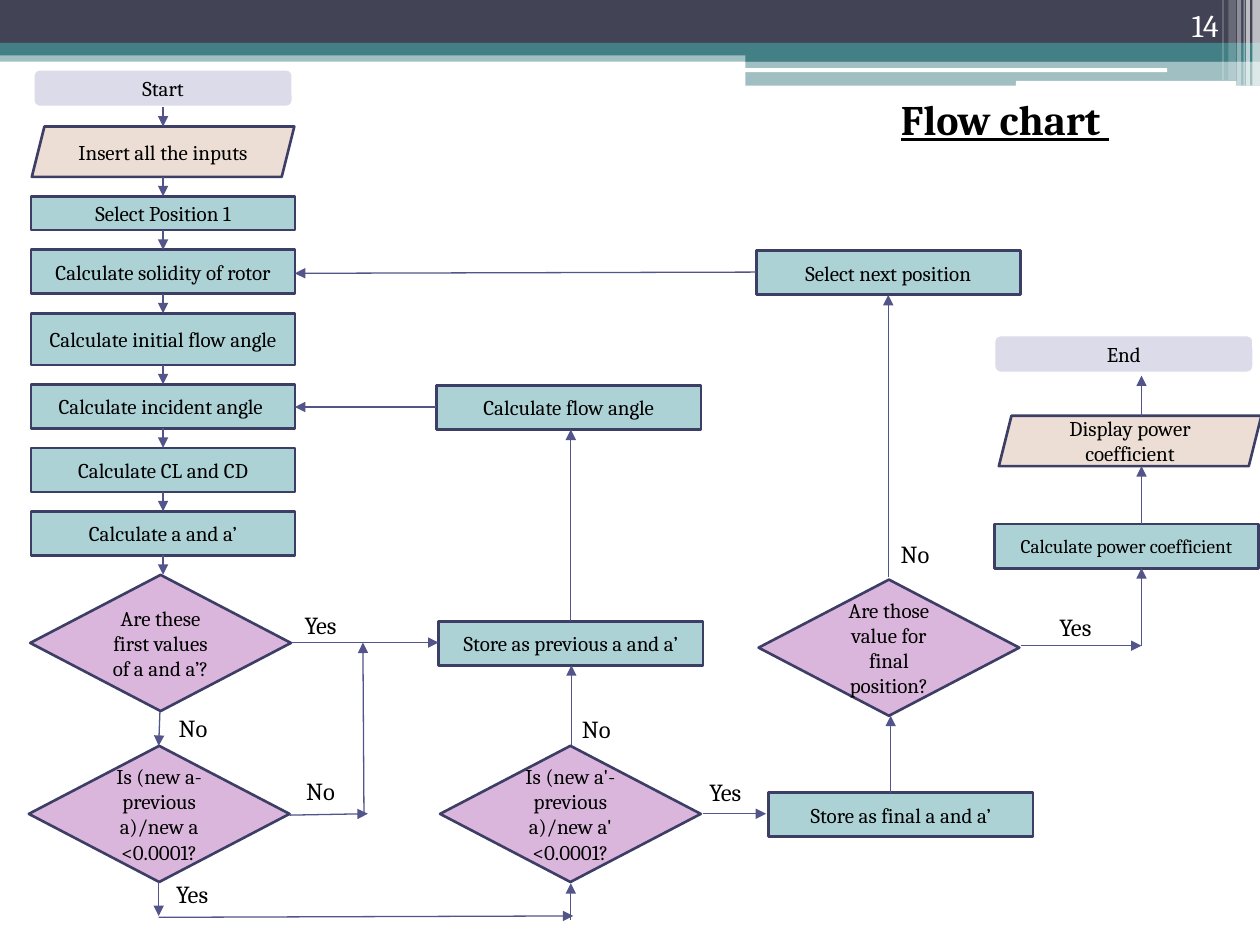
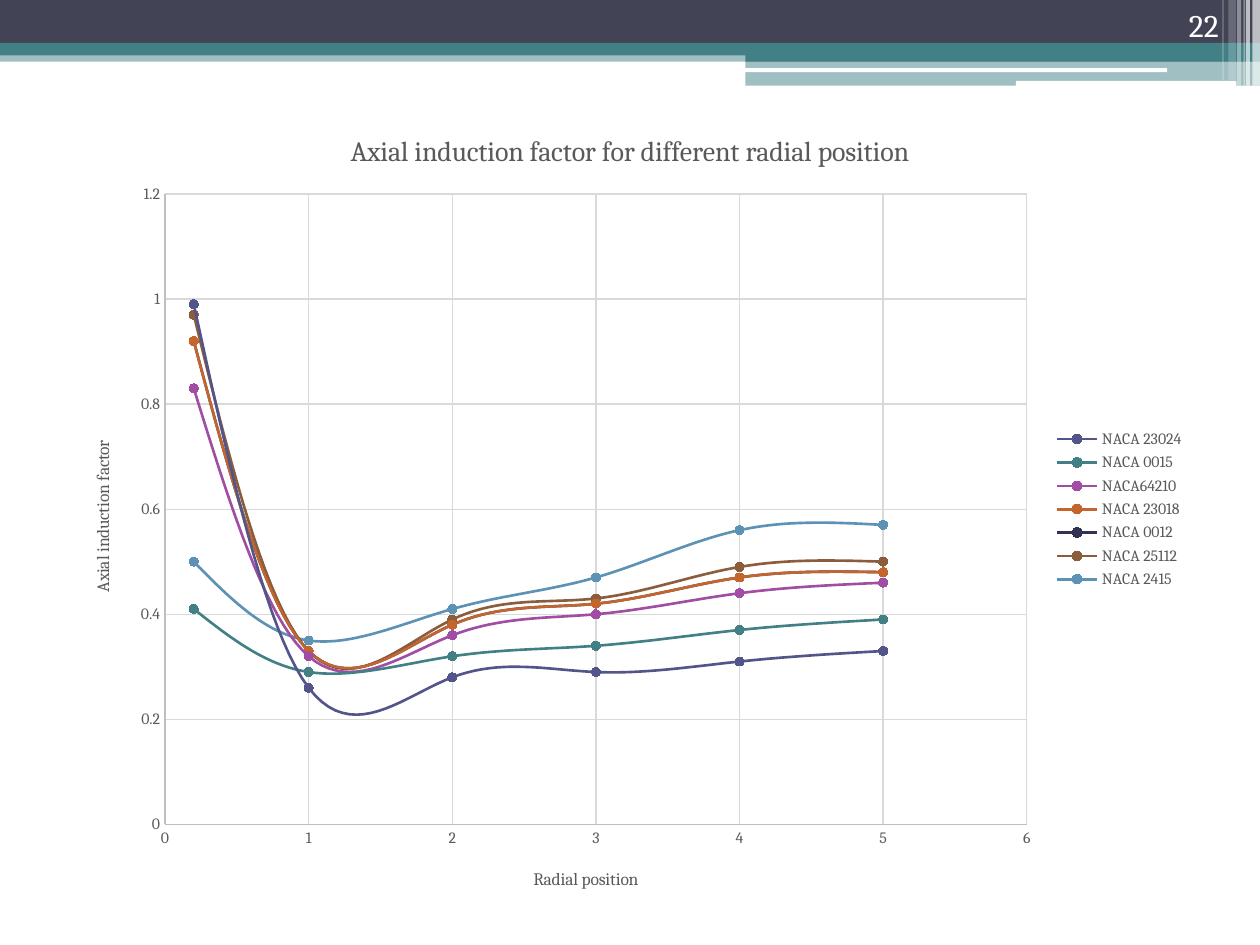
from dataclasses import dataclass
from itertools import pairwise
from typing import NamedTuple

from lxml import etree
from pptx import Presentation
from pptx.chart.axis import ValueAxis
from pptx.chart.chart import Chart
from pptx.chart.data import XyChartData
from pptx.dml.color import RGBColor
from pptx.enum.chart import XL_CHART_TYPE, XL_LEGEND_POSITION, XL_MARKER_STYLE, XL_TICK_MARK
from pptx.enum.shapes import MSO_CONNECTOR, MSO_SHAPE
from pptx.enum.text import MSO_ANCHOR, MSO_AUTO_SIZE, PP_ALIGN
from pptx.oxml.ns import qn
from pptx.shapes.autoshape import Shape
from pptx.slide import Slide
from pptx.text.text import Font, TextFrame
from pptx.util import Pt

RECTANGLE = MSO_SHAPE.RECTANGLE
ROUNDED = MSO_SHAPE.ROUNDED_RECTANGLE
LEFT, CENTER, RIGHT = PP_ALIGN.LEFT, PP_ALIGN.CENTER, PP_ALIGN.RIGHT
TOP, MIDDLE, BOTTOM = MSO_ANCHOR.TOP, MSO_ANCHOR.MIDDLE, MSO_ANCHOR.BOTTOM
TITLE_ONLY, BLANK = 5, 6

FONT = "Cambria"
BLACK, WHITE, GRAY = "000000", "FFFFFF", "595959"
NAVY, TEAL, INDIGO, OUTLINE = "424456", "438086", "53548A", "3D3E66"
AXIS_LINE, GRID_LINE = "BFBFBF", "D9D9D9"


class Band(NamedTuple):
    left: float
    top: float
    width: float
    height: float
    color: str
    opacity: int = 100
    shape_type: MSO_SHAPE = RECTANGLE


@dataclass(frozen=True)
class Kind:
    shape_type: MSO_SHAPE
    fill: str
    width: float
    height: float
    line: str = OUTLINE


@dataclass(frozen=True)
class Node:
    kind: Kind
    text: str
    center: float
    top: float
    height: float
    size: float = 12

    @property
    def bottom(self) -> float:
        return self.top + self.height


class Arrow(NamedTuple):
    start_x: float
    start_y: float
    end_x: float
    end_y: float


class Label(NamedTuple):
    text: str
    left: float
    top: float


class Airfoil(NamedTuple):
    name: str
    color: str
    factors: tuple[float, ...]


BANDS = [
    Band(0, 28.8, 720, 6.5, TEAL, 50),
    Band(0, 0, 720, 24.5, NAVY),
    Band(0, 24.5, 720, 7.2, TEAL),
    Band(426, 28, 294, 7.2, TEAL),
    Band(426, 34.7, 294, 14.3, TEAL, 50),
    Band(425.5, 39, 241.5, 2.2, WHITE, 100, ROUNDED),
    Band(580.5, 46.3, 126, 2.9, WHITE, 100, ROUNDED),
    Band(715.7, 0, 4.3, 49, WHITE, 65),
    Band(712, 0, 2.2, 49, WHITE, 65),
    Band(710.6, 0, 0.7, 49, WHITE, 60),
    Band(707, 0, 2.2, 49, WHITE, 40),
    Band(702, 0, 4.3, 46, WHITE, 20),
    Band(698.5, 0, 0.7, 46, WHITE, 30),
]

TERMINAL = Kind(ROUNDED, "DBDBE9", 148.3, 21.6, WHITE)
DATA = Kind(MSO_SHAPE.PARALLELOGRAM, "ECDED4", 150, 28.8)
PROCESS = Kind(RECTANGLE, "ADD2D6", 151, 25.2)
DECISION = Kind(MSO_SHAPE.DIAMOND, "DBB6DC", 149, 77.8)

COLUMN_CENTER, COLUMN_TOP, COLUMN_GAP = 93.2, 39.6, 11.1
COLUMN_STEPS = [
    (TERMINAL, "Start", 21.6),
    (DATA, "Insert all the inputs", 28.8),
    (PROCESS, "Select Position 1", 19.4),
    (PROCESS, "Calculate solidity of rotor", 25.2),
    (PROCESS, "Calculate initial flow angle", 29.5),
    (PROCESS, "Calculate incident angle ", 25.2),
    (PROCESS, "Calculate CL and CD", 25.2),
    (PROCESS, "Calculate a and a’", 25.2),
    (DECISION, "Are these first values of a and a’?", 77.8),
]


def node(kind: Kind, text: str, center: float, top: float, size: float = 12) -> Node:
    return Node(kind, text, center, top, kind.height, size)


BRANCH_NODES = [
    node(DECISION, "Is (new a-previous a)/new a <0.0001?", 91, 426.2),
    node(DECISION, "Is (new a'-previous a)/new a' <0.0001?", 326, 426.2),
    node(PROCESS, "Store as previous a and a’", 326.2, 355),
    node(PROCESS, "Calculate flow angle", 325, 220.3),
    node(DECISION, "Are those value for final position?", 508, 331.2),
    node(PROCESS, "Store as final a and a’", 514.8, 453),
    node(PROCESS, "Select next position", 507.6, 143.3),
    node(PROCESS, "Calculate power coefficient", 643.7, 299.5, 11),
    node(DATA, "Display power coefficient", 645.8, 237.6),
    node(TERMINAL, "End", 642.2, 191.5),
]

BRANCH_ARROWS = [
    Arrow(91.4, 406.8, 90.7, 426.2),
    Arrow(165.6, 465.8, 210.2, 465),
    Arrow(90.7, 504, 90.7, 523.4),
    Arrow(90.7, 524.2, 327.6, 523.4),
    Arrow(326.2, 525.6, 326.2, 504.7),
    Arrow(167, 367.2, 250.6, 367.2),
    Arrow(208, 465, 207.4, 367.2),
    Arrow(326.5, 425.5, 326.5, 380.2),
    Arrow(401.8, 465, 437.8, 465),
    Arrow(509, 453, 509, 409),
    Arrow(326.2, 355, 326.2, 245.5),
    Arrow(249, 232.6, 168.5, 232.6),
    Arrow(507.6, 329.8, 507.6, 168.5),
    Arrow(432, 155.5, 168.5, 156.2),
    Arrow(583.2, 369, 652.3, 369),
    Arrow(652.3, 369, 652.3, 324.7),
    Arrow(652.3, 299.5, 652.3, 266.4),
    Arrow(652.3, 237.6, 652.3, 214.6),
]

LABELS = [
    Label("Yes", 167, 345),
    Label("No", 95, 404),
    Label("Yes", 93.6, 499),
    Label("Yes", 398.2, 440.6),
    Label("Yes", 598.3, 346.3),
    Label("No", 167.8, 440),
    Label("No", 507.6, 304.6),
    Label("No", 325.4, 404.6),
]

RADIAL_POSITIONS = (0.2, 1, 2, 3, 4, 5)
AIRFOILS = [
    Airfoil("NACA 23024", INDIGO, (0.99, 0.26, 0.28, 0.29, 0.31, 0.33)),
    Airfoil("NACA 0015", TEAL, (0.41, 0.29, 0.32, 0.34, 0.37, 0.39)),
    Airfoil("NACA64210", "A04DA3", (0.83, 0.32, 0.36, 0.4, 0.44, 0.46)),
    Airfoil("NACA 23018", "C4652D", (0.92, 0.33, 0.38, 0.42, 0.47, 0.48)),
    Airfoil("NACA 0012", "323253", (0.92, 0.33, 0.38, 0.42, 0.47, 0.48)),
    Airfoil("NACA 25112", "8B5D3D", (0.97, 0.33, 0.39, 0.43, 0.49, 0.5)),
    Airfoil("NACA 2415", "5C92B5", (0.5, 0.35, 0.41, 0.47, 0.56, 0.57)),
]


def rgb(color: str) -> RGBColor:
    return RGBColor.from_string(color)


def format_font(font: Font, size: float, color: str, bold: bool = False, underline: bool = False) -> None:
    font.name, font.size = FONT, Pt(size)
    font.bold, font.underline = bold, underline
    font.color.rgb = rgb(color)


def write_text(frame: TextFrame, text: str, *, size: float, color: str = BLACK, align: PP_ALIGN = LEFT,
               anchor: MSO_ANCHOR = TOP, wrap: bool = True, bold: bool = False,
               underline: bool = False) -> None:
    frame.auto_size = MSO_AUTO_SIZE.NONE
    frame.word_wrap = wrap
    frame.vertical_anchor = anchor
    paragraph = frame.paragraphs[0]
    paragraph.alignment = align
    run = paragraph.add_run()
    run.text = text
    format_font(run.font, size, color, bold, underline)


def add_filled(slide: Slide, shape_type: MSO_SHAPE, left: float, top: float, width: float, height: float,
               color: str) -> Shape:
    shape = slide.shapes.add_shape(shape_type, Pt(left), Pt(top), Pt(width), Pt(height))
    shape.shadow.inherit = False
    shape.fill.solid()
    shape.fill.fore_color.rgb = rgb(color)
    return shape


def add_band(slide: Slide, band: Band) -> None:
    shape = add_filled(slide, band.shape_type, band.left, band.top, band.width, band.height, band.color)
    shape.line.fill.background()
    if band.opacity < 100:
        color = shape.element.spPr.find(f"{qn('a:solidFill')}/{qn('a:srgbClr')}")
        etree.SubElement(color, qn("a:alpha"), val=str(band.opacity * 1000))


def add_header(slide: Slide, number: int) -> None:
    for band in BANDS:
        add_band(slide, band)
    box = slide.shapes.add_textbox(Pt(643.7), Pt(0), Pt(59.8), Pt(28.8))
    write_text(box.text_frame, str(number), size=18, color=WHITE, align=RIGHT, anchor=BOTTOM)


def add_node(slide: Slide, item: Node) -> None:
    kind = item.kind
    shape = add_filled(slide, kind.shape_type, item.center - kind.width / 2, item.top, kind.width,
                       item.height, kind.fill)
    shape.line.color.rgb = rgb(kind.line)
    shape.line.width = Pt(1.5)
    write_text(shape.text_frame, item.text, size=item.size, align=CENTER, anchor=MIDDLE)


def add_arrow(slide: Slide, arrow: Arrow) -> None:
    connector = slide.shapes.add_connector(MSO_CONNECTOR.STRAIGHT, *(Pt(value) for value in arrow))
    connector.line.color.rgb = rgb(INDIGO)
    connector.line.width = Pt(0.75)
    properties = connector.element.spPr
    etree.SubElement(properties.find(qn("a:ln")), qn("a:tailEnd"), type="triangle")
    etree.SubElement(properties, qn("a:effectLst"))


def column_nodes() -> list[Node]:
    nodes, top = [], COLUMN_TOP
    for kind, text, height in COLUMN_STEPS:
        center = COLUMN_CENTER - 1.4 if kind is DECISION else COLUMN_CENTER
        nodes.append(Node(kind, text, center, top, height))
        top += height + COLUMN_GAP
    return nodes


def build_flow_chart(slide: Slide) -> None:
    add_header(slide, 14)
    title = slide.shapes.title
    title.left, title.top, title.width, title.height = Pt(507.6), Pt(49.7), Pt(195.8), Pt(36)
    write_text(title.text_frame, "Flow chart ", size=24, bold=True, underline=True)
    column = column_nodes()
    for item in column + BRANCH_NODES:
        add_node(slide, item)
    column_arrows = [Arrow(COLUMN_CENTER, upper.bottom, COLUMN_CENTER, lower.top)
                     for upper, lower in pairwise(column)]
    for arrow in column_arrows + BRANCH_ARROWS:
        add_arrow(slide, arrow)
    for label in LABELS:
        box = slide.shapes.add_textbox(Pt(label.left), Pt(label.top), Pt(38), Pt(24.5))
        write_text(box.text_frame, label.text, size=14, wrap=False)


def write_chart_title(frame: TextFrame, text: str, size: float) -> None:
    run = frame.paragraphs[0].add_run()
    run.text = text
    format_font(run.font, size, GRAY)


def format_axis(axis: ValueAxis, title: str, maximum: float, step: float) -> None:
    axis.minimum_scale, axis.maximum_scale, axis.major_unit = 0, maximum, step
    axis.major_tick_mark = axis.minor_tick_mark = XL_TICK_MARK.NONE
    axis.has_major_gridlines = True
    for line, color in ((axis.format.line, AXIS_LINE), (axis.major_gridlines.format.line, GRID_LINE)):
        line.color.rgb = rgb(color)
        line.width = Pt(0.75)
    format_font(axis.tick_labels.font, 9, GRAY)
    write_chart_title(axis.axis_title.text_frame, title, 10)


def place_plot(chart: Chart, **fractions: float) -> None:
    plot_area = chart.element.find(f".//{qn('c:plotArea')}")
    for old_layout in plot_area.findall(qn("c:layout")):
        plot_area.remove(old_layout)
    layout = etree.Element(qn("c:layout"))
    plot_area.insert(0, layout)
    manual = etree.SubElement(layout, qn("c:manualLayout"))
    settings = {"layoutTarget": "inner", "xMode": "edge", "yMode": "edge", **fractions}
    for name, value in settings.items():
        etree.SubElement(manual, qn(f"c:{name}"), val=str(value))


def build_induction_chart(slide: Slide) -> None:
    add_header(slide, 22)
    data = XyChartData()
    for airfoil in AIRFOILS:
        points = data.add_series(airfoil.name)
        for position, factor in zip(RADIAL_POSITIONS, airfoil.factors):
            points.add_data_point(position, factor)
    chart = slide.shapes.add_chart(XL_CHART_TYPE.XY_SCATTER_SMOOTH, Pt(36), Pt(60), Pt(648), Pt(462), data).chart
    format_font(chart.font, 10, BLACK)
    chart.has_title = True
    write_chart_title(chart.chart_title.text_frame, "Axial induction factor for different radial position", 16)
    format_axis(chart.category_axis, "Radial position", 6, 1)
    format_axis(chart.value_axis, "Axial induction factor", 1.2, 0.2)
    chart.has_legend = True
    chart.legend.position = XL_LEGEND_POSITION.RIGHT
    chart.legend.include_in_layout = False
    format_font(chart.legend.font, 9, GRAY)
    chart.plots[0].vary_by_categories = False
    for series, airfoil in zip(chart.plots[0].series, AIRFOILS):
        color = rgb(airfoil.color)
        series.format.line.color.rgb = color
        series.format.line.width = Pt(1.5)
        series.marker.style = XL_MARKER_STYLE.CIRCLE
        series.marker.size = 5
        series.marker.format.fill.solid()
        series.marker.format.fill.fore_color.rgb = color
        series.marker.format.line.color.rgb = color
    for smooth in chart.element.iter(qn("c:smooth")):
        smooth.set("val", "1")
    place_plot(chart, x=0.09, y=0.11, w=0.76, h=0.78)


def main() -> None:
    presentation = Presentation()
    presentation.slide_width, presentation.slide_height = Pt(720), Pt(540)
    layouts = presentation.slide_layouts
    build_flow_chart(presentation.slides.add_slide(layouts[TITLE_ONLY]))
    build_induction_chart(presentation.slides.add_slide(layouts[BLANK]))
    presentation.save("out.pptx")


if __name__ == "__main__":
    main()
